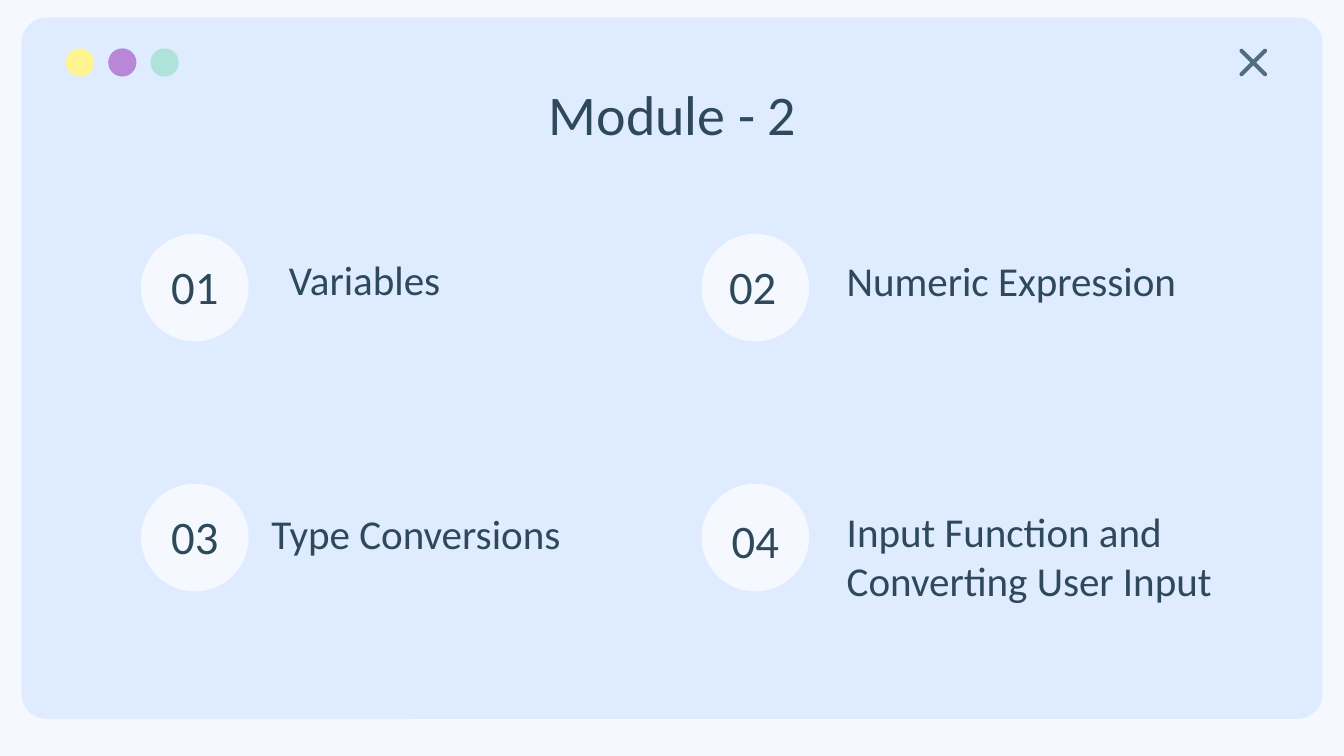
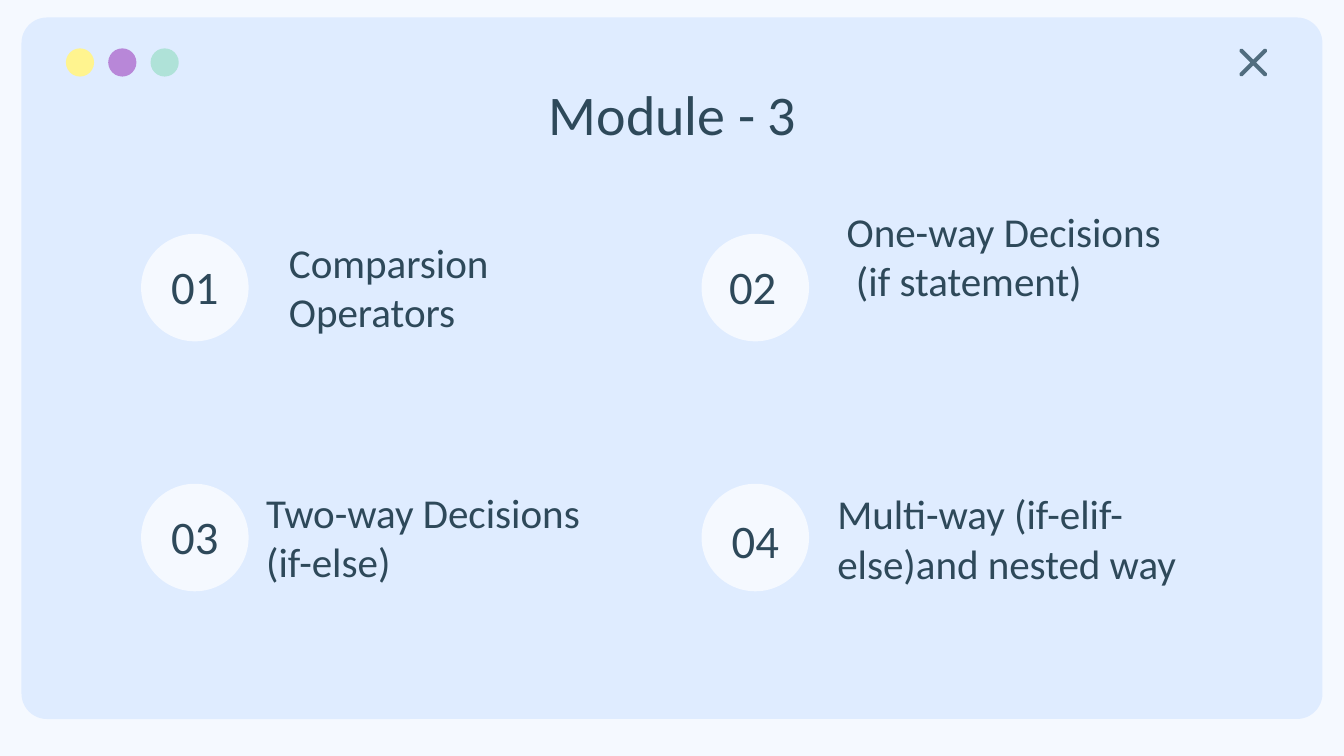
from typing import NamedTuple

from lxml.etree import SubElement
from pptx import Presentation
from pptx.dml.color import RGBColor
from pptx.enum.shapes import MSO_SHAPE as Preset
from pptx.enum.text import MSO_ANCHOR as Anchor, MSO_AUTO_SIZE as AutoSize, PP_ALIGN as Align
from pptx.oxml.ns import qn
from pptx.shapes.base import BaseShape
from pptx.slide import Slide
from pptx.util import Inches, Pt

FONT = "Calibri"
COLORS = {
    "page": "F5F9FF",
    "window": "DFECFF",
    "yellow": "FFF48F",
    "purple": "B887D8",
    "mint": "AFE2D8",
    "close": "516D7F",
    "text": "2E495A",
}
SLIDE_WIDTH = Inches(10)
SLIDE_HEIGHT = SLIDE_WIDTH * 9 // 16
COMPARISON_LAYOUT = 4  # a title and four content placeholders


class Box(NamedTuple):
    left: float
    top: float
    width: float
    height: float


class TextStyle(NamedTuple):
    size: int
    align: Align
    anchor: Anchor


class Badge(NamedTuple):
    number: str
    circle: Box
    number_box: Box
    inset_left: float = 0.1


class Topic(NamedTuple):
    lines: list[str]
    box: Box


class Module(NamedTuple):
    title: str
    topics: list[Topic]


TITLE_STYLE = TextStyle(30, Align.CENTER, Anchor.TOP)
NUMBER_STYLE = TextStyle(25, Align.CENTER, Anchor.MIDDLE)
TOPIC_STYLE = TextStyle(22, Align.LEFT, Anchor.BOTTOM)

TITLE_BOX = Box(0.79, 0.49, 8.43, 0.63)
WINDOW_BOX = Box(0.16, 0.13, 9.68, 5.22)
WINDOW_RADIUS = 0.19
CLOSE_BOX = Box(9.15, 0.29, 0.35, 0.35)
DOT_LEFT, DOT_TOP, DOT_SIZE = 0.49, 0.36, 0.21
DOT_STEP = DOT_SIZE * 1.5

COLUMNS = (1.05, 5.22)
ROWS = (1.74, 3.6)
CIRCLE_SIZE = 0.8


def make_badge(number: int) -> Badge:
    row, column = divmod(number - 1, 2)
    left, top = COLUMNS[column], ROWS[row]
    number_box = Box(left - 0.03, top + 0.11, 0.86, 0.56)
    if number == 4:
        number_box = number_box._replace(top=3.75, height=0.53)
    return Badge(f"{number:02}", Box(left, top, CIRCLE_SIZE, CIRCLE_SIZE),
                 number_box, 0.06 if number == 2 else 0.1)


BADGES = [make_badge(number) for number in range(1, 5)]

MODULES = [
    Module("Module - 2", [
        Topic(["Variables"], Box(2.05, 1.91, 2.7, 0.45)),
        Topic(["Numeric Expression"], Box(6.2, 1.92, 3.23, 0.45)),
        Topic(["Type Conversions"], Box(1.92, 3.45, 2.89, 0.8)),
        Topic(["Input Function and Converting User Input"], Box(6.2, 3.38, 3.23, 1.22)),
    ]),
    Module("Module - 3", [
        Topic(["Comparsion Operators"], Box(2.05, 1.91, 2.84, 0.69)),
        Topic(["One-way Decisions", " (if statement)"], Box(6.2, 1.92, 3.23, 0.45)),
        Topic(["Two-way Decisions", "(if-else)"], Box(1.88, 3.52, 3.08, 0.94)),
        Topic(["Multi-way (if-elif-else)and nested way"], Box(6.13, 3.25, 3.23, 1.22)),
    ]),
]


def rgb(name: str) -> RGBColor:
    return RGBColor.from_string(COLORS[name])


def add_filled(slide: Slide, preset: Preset, box: Box, color: str) -> BaseShape:
    shape = slide.shapes.add_shape(preset, *map(Inches, box))
    shape.shadow.inherit = False
    shape.fill.solid()
    shape.fill.fore_color.rgb = rgb(color)
    shape.line.fill.background()
    return shape


def draw_window(slide: Slide) -> None:
    """Draw the window panel with its three dots and close mark."""
    panel = add_filled(slide, Preset.ROUNDED_RECTANGLE, WINDOW_BOX, "window")
    panel.adjustments[0] = WINDOW_RADIUS / WINDOW_BOX.height
    for index, color in enumerate(("yellow", "purple", "mint")):
        dot = Box(DOT_LEFT + index * DOT_STEP, DOT_TOP, DOT_SIZE, DOT_SIZE)
        add_filled(slide, Preset.OVAL, dot, color)
    close = add_filled(slide, Preset.MATH_MULTIPLY, CLOSE_BOX, "close")
    close.adjustments[0] = 0.03
    close.line.color.rgb = rgb("close")
    close.line.width = Pt(1.5)


def write_text(holder: BaseShape, lines: list[str], style: TextStyle,
               inset_left: float = 0.1) -> None:
    frame = holder.text_frame
    frame.word_wrap = True
    frame.auto_size = AutoSize.NONE
    frame.vertical_anchor = style.anchor
    frame.margin_left = Inches(inset_left)
    frame.margin_top = frame.margin_right = frame.margin_bottom = Inches(0.1)
    for index, line in enumerate(lines):
        paragraph = frame.add_paragraph() if index else frame.paragraphs[0]
        paragraph.alignment = style.align
        paragraph.space_before = Pt(0)
        properties = paragraph._p.get_or_add_pPr()
        properties.set("marL", "0")
        properties.set("indent", "0")
        SubElement(properties, qn("a:buNone"))
        run = paragraph.add_run()
        run.text = line
        run.font.name = FONT
        run.font.size = Pt(style.size)
        run.font.bold = False
        run.font.color.rgb = rgb("text")


def place_text(slide: Slide, placeholder: BaseShape, box: Box, lines: list[str],
               style: TextStyle) -> None:
    """Move a placeholder to its box, in front of the window, and fill it."""
    slide.shapes.element.append(placeholder.element)
    placeholder.left, placeholder.top, placeholder.width, placeholder.height = map(Inches, box)
    write_text(placeholder, lines, style)


def draw_badge(slide: Slide, badge: Badge) -> None:
    add_filled(slide, Preset.OVAL, badge.circle, "page")
    number = slide.shapes.add_textbox(*map(Inches, badge.number_box))
    write_text(number, [badge.number], NUMBER_STYLE, badge.inset_left)


def build_module(deck: Presentation, module: Module) -> None:
    slide = deck.slides.add_slide(deck.slide_layouts[COMPARISON_LAYOUT])
    title, *topic_holders = slide.placeholders
    draw_window(slide)
    for badge in BADGES:
        draw_badge(slide, badge)
    place_text(slide, title, TITLE_BOX, [module.title], TITLE_STYLE)
    for holder, topic in zip(topic_holders, module.topics):
        place_text(slide, holder, topic.box, topic.lines, TOPIC_STYLE)


def main() -> None:
    deck = Presentation()
    deck.slide_width, deck.slide_height = SLIDE_WIDTH, SLIDE_HEIGHT
    background = deck.slide_master.background.fill
    background.solid()
    background.fore_color.rgb = rgb("page")
    for module in MODULES:
        build_module(deck, module)
    deck.save("out.pptx")


if __name__ == "__main__":
    main()
